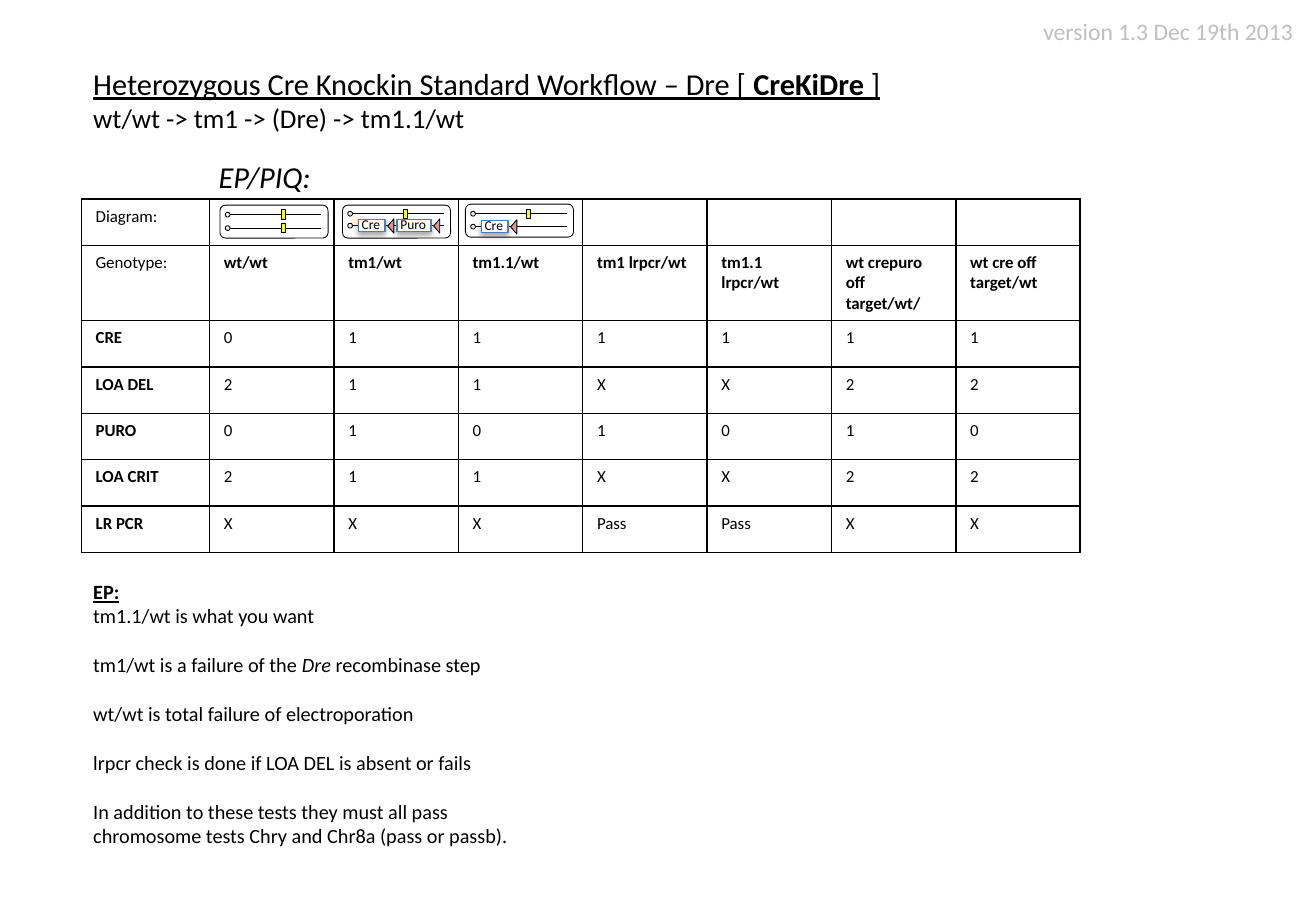
"""Build the heterozygous Cre knock-in workflow slide with its genotype table."""
from dataclasses import dataclass

from lxml.etree import SubElement
from pptx import Presentation
from pptx.dml.color import RGBColor
from pptx.enum.shapes import MSO_CONNECTOR, MSO_SHAPE
from pptx.oxml import parse_xml
from pptx.oxml.ns import nsdecls, qn
from pptx.util import Cm, Pt


@dataclass(frozen=True)
class Theme:
    font: str = "Calibri"
    black: RGBColor = RGBColor(0x00, 0x00, 0x00)
    white: RGBColor = RGBColor(0xFF, 0xFF, 0xFF)
    grey: RGBColor = RGBColor(0xBF, 0xBF, 0xBF)
    cream: RGBColor = RGBColor(0xEE, 0xEC, 0xE1)
    yellow: RGBColor = RGBColor(0xFF, 0xFF, 0x00)
    pink: RGBColor = RGBColor(0xD9, 0x96, 0x94)
    blue: RGBColor = RGBColor(0x4B, 0x7E, 0xBC)
    title_size: Pt = Pt(18)
    subtitle_size: Pt = Pt(16)
    version_size: Pt = Pt(14)
    note_size: Pt = Pt(12)
    cell_size: Pt = Pt(10)
    label_size: Pt = Pt(8)


theme = Theme()


def add_part(group, kind, left, top, width, height, fill=None, line=theme.black, weight=0.5):
    """Add one outlined shape to a diagram."""
    shape = group.shapes.add_shape(kind, Cm(left), Cm(top), Cm(width), Cm(height))
    shape.shadow.inherit = False
    if fill is None:
        shape.fill.background()
    else:
        shape.fill.solid()
        shape.fill.fore_color.rgb = fill
    shape.line.color.rgb = line
    shape.line.width = Pt(weight)
    return shape


def add_text(parent, left, top, width, height, texts, size, color=theme.black, wrap=True):
    """Add a text box with one paragraph per text and return its paragraphs."""
    box = parent.shapes.add_textbox(Cm(left), Cm(top), Cm(width), Cm(height))
    frame = box.text_frame
    frame.word_wrap = wrap
    frame.text = "\n".join(texts)
    for paragraph in frame.paragraphs:
        paragraph.font.name = theme.font
        paragraph.font.size = size
        paragraph.font.color.rgb = color
    return frame.paragraphs


presentation = Presentation()
presentation.slide_width = Cm(27.51)
presentation.slide_height = Cm(19.05)
slide = presentation.slides.add_slide(presentation.slide_layouts[6])

cre = ("Cre", 0.33, 0.56, 1.02)
puro = ("Puro", 1.14, 0.71, 1.32)
diagrams = [
    (4.6, 4.29, (0.2, 0.48), 2, []),
    (7.16, 4.29, (0.18, 0.43), 1, [cre, puro]),
    (9.73, 4.27, (0.2, 0.47), 1, [cre]),
]
for left, top, strands, exon_count, cassettes in diagrams:
    group = slide.shapes.add_group_shape()
    add_part(group, MSO_SHAPE.ROUNDED_RECTANGLE, left, top, 2.26, 0.69)
    for index, offset in enumerate(strands):
        middle = top + offset
        strand = group.shapes.add_connector(
            MSO_CONNECTOR.STRAIGHT, Cm(left + 0.21), Cm(middle), Cm(left + 2.12), Cm(middle))
        strand.line.color.rgb = theme.black
        strand.line.width = Pt(0.5)
        SubElement(strand._element.spPr, qn("a:effectLst"))
        add_part(group, MSO_SHAPE.OVAL, left + 0.11, middle - 0.05, 0.1, 0.1, theme.cream)
        if index < exon_count:
            add_part(group, MSO_SHAPE.RECTANGLE, left + 1.28, middle - 0.1, 0.08, 0.2, theme.yellow)
    for name, offset, width, label_width in cassettes:
        site = add_part(group, MSO_SHAPE.ISOSCELES_TRIANGLE,
                        left + offset + width - 0.03, middle - 0.06, 0.3, 0.13, theme.pink)
        site.rotation = 270
        cassette = add_part(group, MSO_SHAPE.RECTANGLE, left + offset, middle - 0.13, width, 0.26,
                            theme.white, theme.blue, 0.75)
        cassette._element.spPr.find(qn("a:effectLst")).append(parse_xml(
            f'<a:outerShdw {nsdecls("a")} blurRad="40000" dist="23000" dir="5400000" rotWithShape="0">'
            '<a:srgbClr val="000000"><a:alpha val="35000"/></a:srgbClr></a:outerShdw>'))
        add_text(group, left + offset - 0.18, middle - 0.33, label_width, 0.61, [name], theme.label_size)

heading, pathway = add_text(
    slide, 1.7, 1.24, 17.63, 1.7,
    ["Heterozygous Cre Knockin Standard Workflow – Dre [ ", "wt/wt -> tm1 -> (Dre) -> tm1.1/wt"],
    theme.title_size, wrap=False)
heading.font.underline = True
allele = heading.add_run()
allele.text = "CreKiDre"
allele.font.bold = True
heading.add_run().text = " ]"
pathway.font.size = theme.subtitle_size

rows = [
    ["Diagram:", "", "", "", "", "", "", ""],
    ["Genotype:", "wt/wt", "tm1/wt", "tm1.1/wt", "tm1 lrpcr/wt", "tm1.1 lrpcr/wt",
     "wt crepuro off target/wt/", "wt cre off target/wt"],
    ["CRE", "0", "1", "1", "1", "1", "1", "1"],
    ["LOA DEL", "2", "1", "1", "X", "X", "2", "2"],
    ["PURO", "0", "1", "0", "1", "0", "1", "0"],
    ["LOA CRIT", "2", "1", "1", "X", "X", "2", "2"],
    ["LR PCR", "X", "X", "X", "Pass", "Pass", "X", "X"],
]
table = slide.shapes.add_table(
    len(rows), len(rows[0]), Cm(1.7), Cm(4.16), Cm(20.88), Cm(6.79)).table
table.first_row = False
table.horz_banding = False
for index, column in enumerate(table.columns):
    column.width = Cm(2.6 if index else 2.68)
for row_index, texts in enumerate(rows):
    table.rows[row_index].height = Cm(0.97)
    for column_index, text in enumerate(texts):
        cell = table.cell(row_index, column_index)
        cell.text = text
        cell.margin_left = cell.margin_right = Cm(0.3)
        cell.margin_top = cell.margin_bottom = Cm(0.15 if text else 0)
        cell.fill.background()
        paragraph = cell.text_frame.paragraphs[0]
        paragraph.font.name = theme.font
        paragraph.font.size = theme.cell_size
        paragraph.font.color.rgb = theme.black
        paragraph.font.bold = (row_index == 1) != (column_index == 0) and row_index > 0
        properties = cell._tc.get_or_add_tcPr()
        for position, side in enumerate(("lnL", "lnR", "lnT", "lnB")):
            properties.insert(position, parse_xml(
                f'<a:{side} {nsdecls("a")} w="{Pt(1)}"><a:solidFill>'
                f'<a:srgbClr val="{theme.black}"/></a:solidFill></a:{side}>'))

stage, = add_text(slide, 4.32, 3.18, 2.64, 1.02, ["EP/PIQ:"], theme.title_size, wrap=False)
stage.font.italic = True

notes = add_text(
    slide, 1.7, 11.99, 9.83, 5.89,
    ["EP:",
     "tm1.1/wt is what you want",
     "tm1/wt is a failure of the ",
     "wt/wt is total failure of electroporation",
     "lrpcr check is done if LOA DEL is absent or fails",
     "In addition to these tests they must all pass chromosome tests Chry and Chr8a (pass or passb)."],
    theme.note_size)
notes[0].font.bold = True
notes[0].font.underline = True
for paragraph in notes[2:]:
    paragraph.space_before = Pt(14.6)
recombinase = notes[2].add_run()
recombinase.text = "Dre "
recombinase.font.italic = True
notes[2].add_run().text = "recombinase step"

add_text(slide, 21.56, 0.23, 5.97, 0.86, ["version 1.3 Dec 19th 2013"], theme.version_size, theme.grey)

presentation.save("out.pptx")
